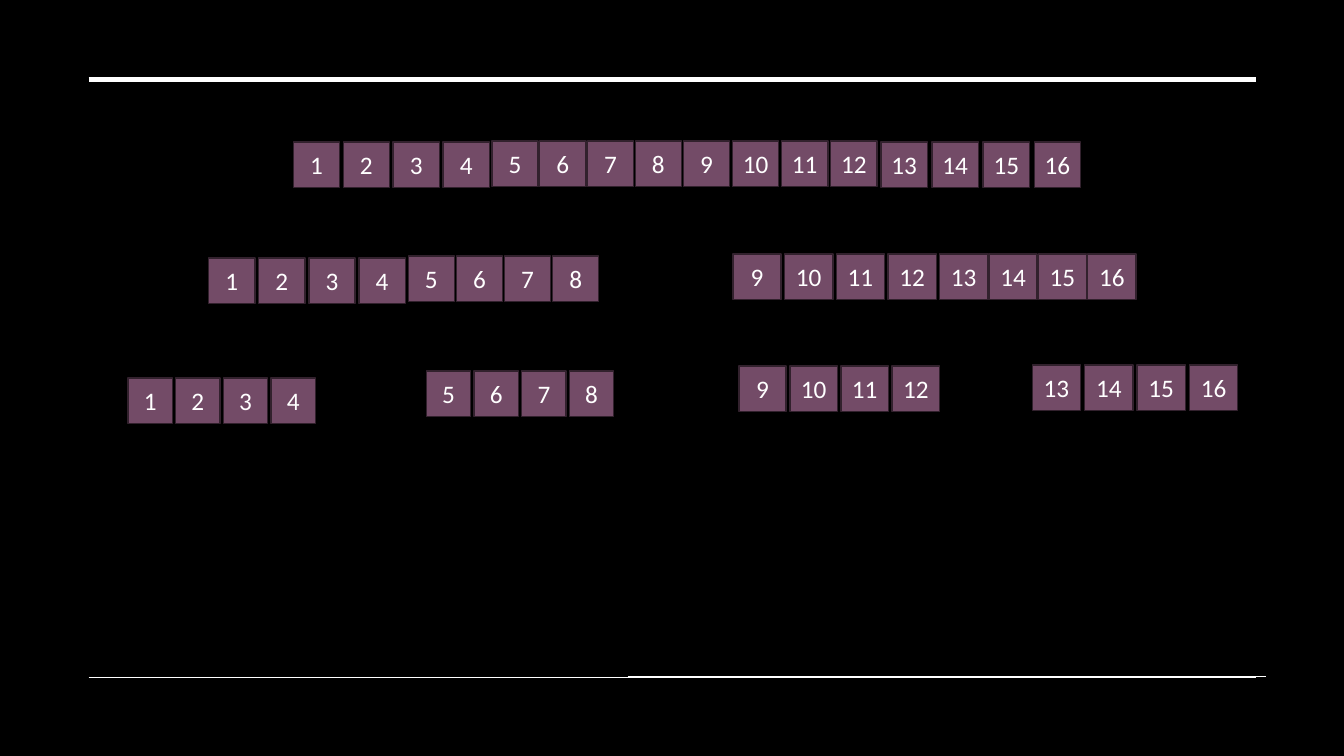
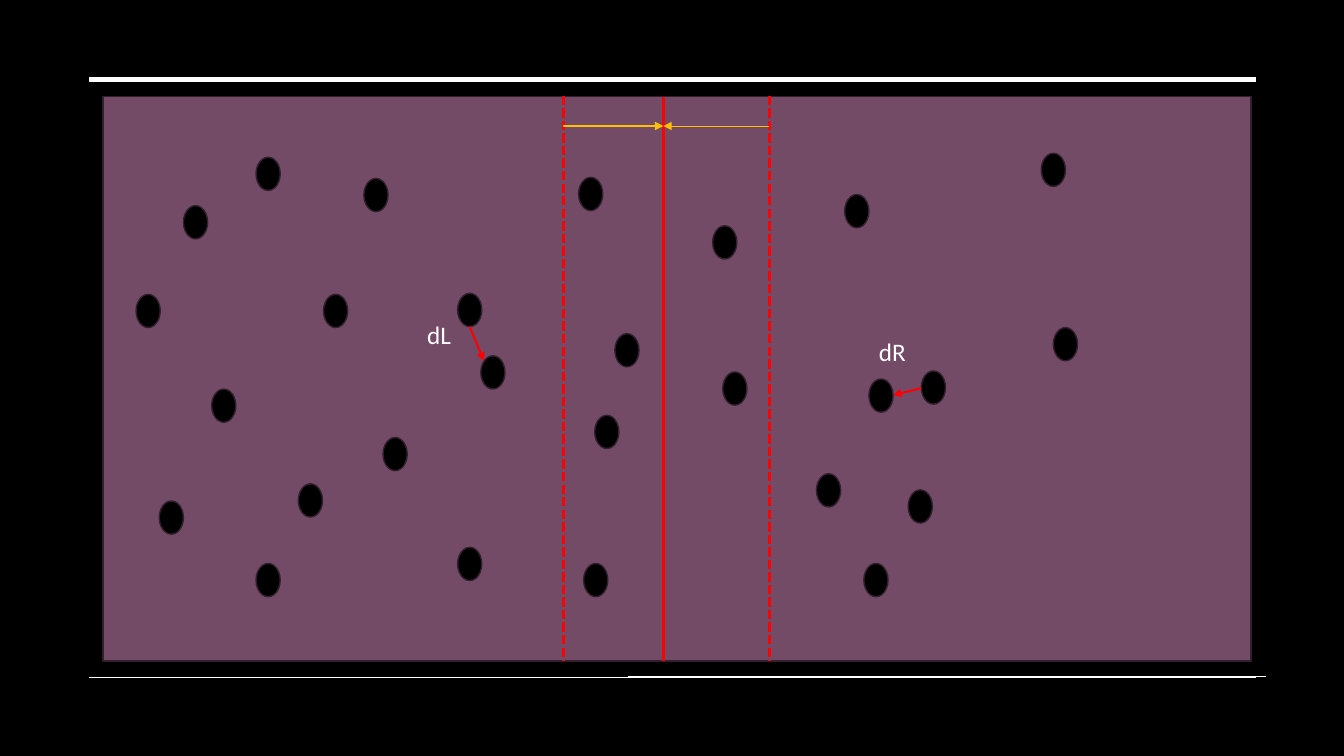
from lxml import etree
from pptx import Presentation
from pptx.dml.color import RGBColor
from pptx.enum.dml import MSO_LINE
from pptx.enum.shapes import MSO_CONNECTOR, MSO_SHAPE
from pptx.enum.text import MSO_ANCHOR, MSO_AUTO_SIZE, PP_ALIGN
from pptx.oxml.ns import qn
from pptx.util import Inches, Pt

RECTANGLE, OVAL = MSO_SHAPE.RECTANGLE, MSO_SHAPE.OVAL
STRAIGHT = MSO_CONNECTOR.STRAIGHT
DASHED = MSO_LINE.SQUARE_DOT
LEFT, CENTER = PP_ALIGN.LEFT, PP_ALIGN.CENTER
TOP, MIDDLE = MSO_ANCHOR.TOP, MSO_ANCHOR.MIDDLE
FIT = MSO_AUTO_SIZE.SHAPE_TO_FIT_TEXT

COLORS = {
    "black": "000000",
    "white": "FFFFFF",
    "plum": "734B67",
    "edge": "32212D",
    "red": "FF0000",
    "amber": "FFC000",
}
FONT = "Calibri"
CELL = 0.1
COLUMNS, ROWS = 133.33, 75

FRAME_RULES = [
    (8.8, 7.9, 124.6, 7.9, 3.5),
    (8.8, 67.2, 124.6, 67.2, 1),
    (62.3, 67.1, 125.6, 67.1, 1),
]

TILE_HEIGHT = 4.5
QUARTET = 4
SPLIT_GROUPS = [
    [(1, 29.1, 14.1, 4.6, 4.95), (5, 48.8, 14, 4.6, 4.74),
     (9, 67.8, 14, 4.6, 4.87), (13, 87.4, 14.1, 4.6, 5.07)],
    [(1, 20.7, 25.6, 4.6, 4.97), (5, 40.5, 25.4, 4.6, 4.77)],
    [(9, 72.7, 25.2, 4.8, 5.13), (13, 93.2, 25.2, 4.8, 4.9)],
    [(5, 42.3, 36.8, 4.4, 4.73)],
    [(13, 102.4, 36.2, 4.8, 5.2)],
    [(1, 12.7, 37.5, 4.4, 4.73)],
    [(9, 73.3, 36.3, 4.7, 5.07)],
]

DOT_WIDTH, DOT_HEIGHT = 2.4, 3.3
DOTS = [
    (18.2, 20.4), (25.4, 15.6), (21, 38.6), (32.1, 29.2), (85.7, 55.9),
    (15.8, 49.7), (38, 43.4), (25.4, 55.9), (90.1, 48.6), (81, 47),
    (104.5, 32.5), (57.9, 55.9), (70.7, 22.4), (86.2, 37.6), (91.4, 36.8),
    (59, 41.2), (83.8, 19.3), (61, 33.1), (103.3, 15.2), (71.7, 36.9),
    (45.4, 54.3), (47.7, 35.3), (57.4, 17.6), (45.4, 29.1), (13.5, 29.2),
    (29.6, 48), (36.1, 17.7),
]
PLANE = (10.2, 9.6, 113.9, 56)
DIVIDER, STRIP_LEFT, STRIP_RIGHT = 65.8, 55.9, 76.3
STRIP_TOP, STRIP_BOTTOM, WIDTH_ROW = 9.5, 65.5, 12.5


def cells(*counts):
    return [Inches(count * CELL) for count in counts]


def color(name):
    return RGBColor.from_string(COLORS[name])


def write(frame, text, size=18, ink="white", align=LEFT, anchor=TOP):
    frame.word_wrap = True
    frame.vertical_anchor = anchor
    para = frame.paragraphs[0]
    para.alignment = align
    span = para.add_run()
    span.text = text
    span.font.name = FONT
    span.font.size = Pt(size)
    span.font.color.rgb = color(ink)


class Sketch:
    """Draws the elements of the current page in the shared style."""

    def __init__(self):
        self.deck = Presentation()
        self.deck.slide_width, self.deck.slide_height = cells(COLUMNS, ROWS)
        self.page = None

    def add_page(self):
        self.page = self.deck.slides.add_slide(self.deck.slide_layouts[6])
        fill = self.page.background.fill
        fill.solid()
        fill.fore_color.rgb = color("black")
        for *ends, weight in FRAME_RULES:
            self.line(*ends, "white", weight)

    def shape(self, kind, area, fill, text=None, parent=None):
        shapes = (parent or self.page).shapes
        box = shapes.add_shape(kind, *cells(*area))
        box.shadow.inherit = False
        box.fill.solid()
        box.fill.fore_color.rgb = color(fill)
        box.line.color.rgb = color("edge")
        box.line.width = Pt(1)
        if text:
            write(box.text_frame, text, align=CENTER, anchor=MIDDLE)

    def tiles(self, quartets):
        group = self.page.shapes.add_group_shape()
        for first, column, row, width, pitch in quartets:
            for step in range(QUARTET):
                area = (column + step * pitch, row, width, TILE_HEIGHT)
                self.shape(RECTANGLE, area, "plum", str(first + step), group)

    def dot(self, column, row):
        self.shape(OVAL, (column, row, DOT_WIDTH, DOT_HEIGHT), "black")

    def label(self, text, column, row):
        box = self.page.shapes.add_textbox(*cells(column, row, 11.6, 4))
        write(box.text_frame, text)
        box.text_frame.auto_size = FIT

    def line(self, x1, y1, x2, y2, ink, weight, dash=None, arrow=False):
        rule = self.page.shapes.add_connector(STRAIGHT, *cells(x1, y1, x2, y2))
        rule.line.color.rgb = color(ink)
        rule.line.width = Pt(weight)
        if dash:
            rule.line.dash_style = dash
        properties = rule.element.spPr
        if arrow:
            outline = properties.find(qn("a:ln"))
            etree.SubElement(outline, qn("a:tailEnd"), type="triangle")
        etree.SubElement(properties, qn("a:effectLst"))


def draw_splitting(sketch):
    sketch.add_page()
    for quartets in SPLIT_GROUPS:
        sketch.tiles(quartets)


def draw_closest_pair(sketch):
    sketch.add_page()
    sketch.shape(RECTANGLE, PLANE, "plum")
    for column, row in DOTS:
        sketch.dot(column, row)
    sketch.line(DIVIDER, PLANE[1], DIVIDER, PLANE[1] + PLANE[3], "red", 2.25)
    sketch.line(46.6, 32.4, 48, 35.8, "red", 1.5, arrow=True)
    sketch.line(91.4, 38.5, 88.6, 39.2, "red", 1.5, arrow=True)
    sketch.label("dL", 41.4, 31.2)
    sketch.label("dR", 86.2, 32.9)
    for edge in (STRIP_LEFT, STRIP_RIGHT):
        sketch.line(edge, STRIP_TOP, edge, STRIP_BOTTOM, "red", 2.25, DASHED)
    for edge, weight in ((STRIP_LEFT, 1), (STRIP_RIGHT, 0.5)):
        sketch.line(edge, WIDTH_ROW, DIVIDER, WIDTH_ROW, "amber", weight,
                    arrow=True)


def main():
    sketch = Sketch()
    draw_splitting(sketch)
    draw_closest_pair(sketch)
    sketch.deck.save("out.pptx")


if __name__ == "__main__":
    main()
